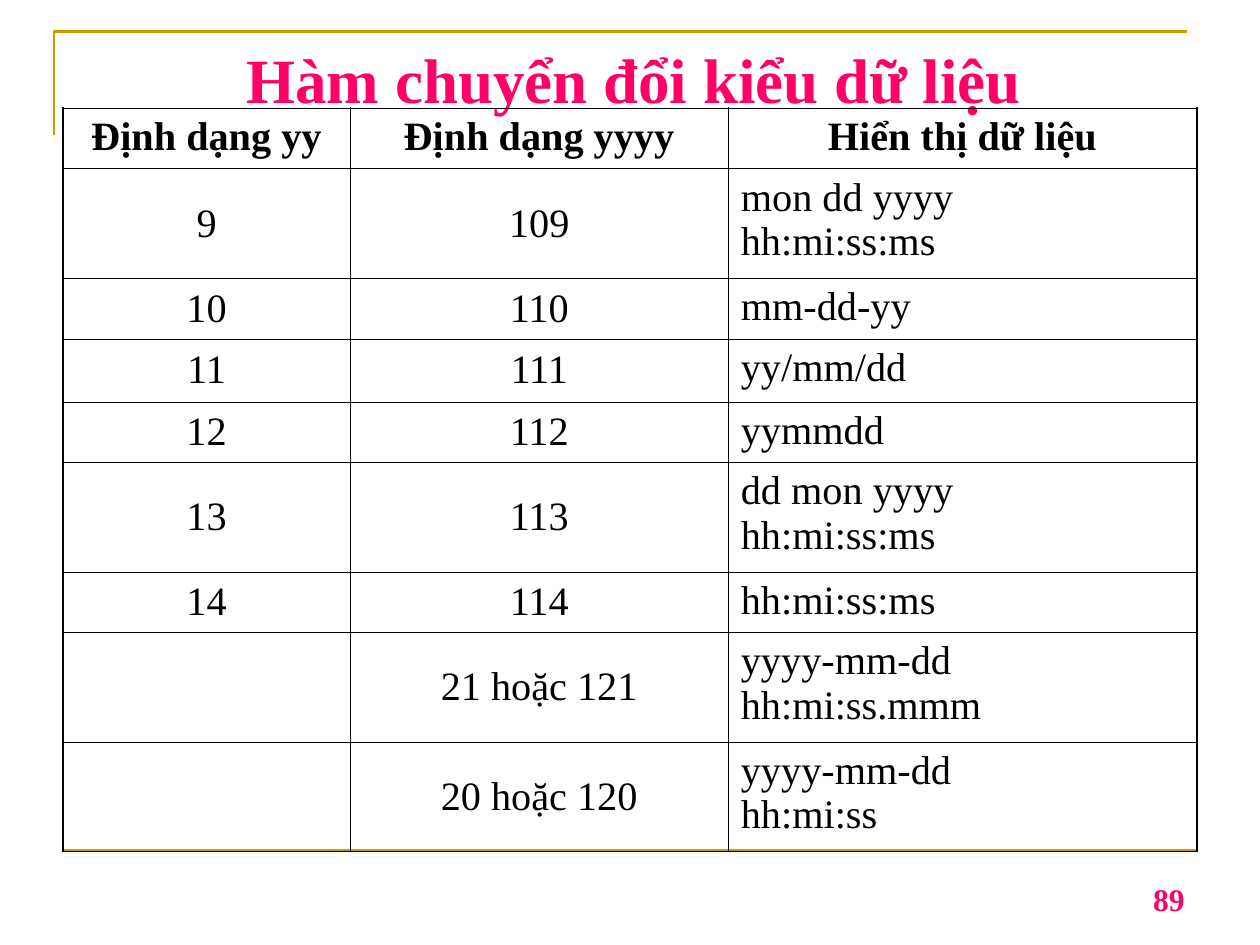
import pptx
import pptx.util
import pptx.oxml.xmlchemy
from pptx.dml.color import RGBColor
from pptx.enum.shapes import MSO_CONNECTOR
from pptx.enum.text import MSO_ANCHOR, PP_ALIGN
from pptx.oxml.ns import qn
from pptx.util import Inches

FONT = "Times New Roman"
GOLD = RGBColor(0xCC, 0x99, 0x00)
PINK = RGBColor(0xFF, 0x00, 0x66)
BLACK = RGBColor(0x00, 0x00, 0x00)
THIN, THICK = 0.45, 1.08

COL_WIDTHS = [2.28, 3, 3.72]
ROW_HEIGHTS = [0.48, 0.87, 0.48, 0.5, 0.48, 0.87, 0.48, 0.87, 0.87]
ROWS = [
    ("Định dạng yy", "Định dạng yyyy", "Hiển thị dữ liệu"),
    ("9", "109", "mon dd yyyy\nhh:mi:ss:ms"),
    ("10", "110", "mm-dd-yy"),
    ("11", "111", "yy/mm/dd"),
    ("12", "112", "yymmdd"),
    ("13", "113", "dd mon yyyy\nhh:mi:ss:ms"),
    ("14", "114", "hh:mi:ss:ms"),
    ("", "21 hoặc 121", "yyyy-mm-dd\nhh:mi:ss.mmm"),
    ("", "20 hoặc 120", "yyyy-mm-dd\nhh:mi:ss"),
]


def set_text(tf, text, size, color, bold, align):
    tf.text = text
    for p in tf.paragraphs:
        p.alignment = align
        p.font.name = FONT
        p.font.size = pptx.util.Pt(size)
        p.font.bold = bold
        p.font.color.rgb = color


def style_line(sp):
    sp.line.color.rgb = GOLD
    sp.line.width = pptx.util.Pt(1.5)


def add_frame(s):
    # Corner at the top left
    fb = s.shapes.build_freeform(Inches(0.43), Inches(1.07))
    fb.add_line_segments([(Inches(0.43), Inches(0.25)),
                          (Inches(9.42), Inches(0.25))], close=False)
    corner = fb.convert_to_shape()
    corner.shadow.inherit = False
    corner.fill.background()
    style_line(corner)

    # Rule above the footer
    rule = s.shapes.add_connector(MSO_CONNECTOR.STRAIGHT, Inches(0.5),
                                  Inches(6.75), Inches(9.5), Inches(6.75))
    style_line(rule)
    rule._element.spPr.append(pptx.oxml.xmlchemy.OxmlElement("a:effectLst"))


def add_title(s, text):
    title = s.shapes.title
    title.left, title.top = Inches(0.57), Inches(0.22)
    title.width, title.height = Inches(8.92), Inches(0.85)
    tf = title.text_frame
    tf.vertical_anchor = MSO_ANCHOR.TOP
    tf.margin_top = Inches(0.1)
    set_text(tf, text, 36, PINK, True, PP_ALIGN.CENTER)


def set_borders(cell, widths):
    tcPr = cell._tc.get_or_add_tcPr()
    for side, width in zip("LRTB", widths):
        ln = pptx.oxml.xmlchemy.OxmlElement(f"a:ln{side}")
        ln.set("w", str(int(pptx.util.Pt(width))))
        fill = pptx.oxml.xmlchemy.OxmlElement("a:solidFill")
        color = pptx.oxml.xmlchemy.OxmlElement("a:srgbClr")
        color.set("val", str(BLACK))
        fill.append(color)
        ln.append(fill)
        tcPr.append(ln)


def add_format_table(s):
    gf = s.shapes.add_table(len(ROWS), len(COL_WIDTHS), Inches(0.5), Inches(0.86),
                            Inches(sum(COL_WIDTHS)), Inches(sum(ROW_HEIGHTS)))
    table = gf.table
    table.first_row = table.horz_banding = False
    # "No Style, No Grid"
    style = table._tbl.tblPr.find(qn("a:tableStyleId"))
    style.text = "{2D5ABB26-0587-4C30-8999-92F81FD0307C}"
    for col, width in zip(table.columns, COL_WIDTHS):
        col.width = Inches(width)
    for row, height in zip(table.rows, ROW_HEIGHTS):
        row.height = Inches(height)

    last_row, last_col = len(ROWS) - 1, len(COL_WIDTHS) - 1
    for i, texts in enumerate(ROWS):
        for j, text in enumerate(texts):
            cell = table.cell(i, j)
            header, display = i == 0, j == last_col
            align = PP_ALIGN.LEFT if display and not header else PP_ALIGN.CENTER
            set_text(cell.text_frame, text, 23, BLACK, header, align)
            cell.vertical_anchor = (MSO_ANCHOR.TOP if header or display
                                    else MSO_ANCHOR.MIDDLE)
            outer = (j == 0, display, header, i == last_row)
            set_borders(cell, [THICK if edge else THIN for edge in outer])
            cell.fill.background()


def add_slide_number(s, text):
    tb = s.shapes.add_textbox(Inches(7.17), Inches(6.83), Inches(2.33), Inches(0.5))
    tf = tb.text_frame
    tf.word_wrap = True
    tf.vertical_anchor = MSO_ANCHOR.BOTTOM
    set_text(tf, text, 18, PINK, True, PP_ALIGN.RIGHT)


def main():
    prs = pptx.Presentation()
    prs.slide_width, prs.slide_height = Inches(10), Inches(7.5)
    s = prs.slides.add_slide(prs.slide_layouts[5])
    add_frame(s)
    add_title(s, "Hàm chuyển đổi kiểu dữ liệu")
    add_format_table(s)
    add_slide_number(s, "89")
    prs.save("out.pptx")


if __name__ == "__main__":
    main()
